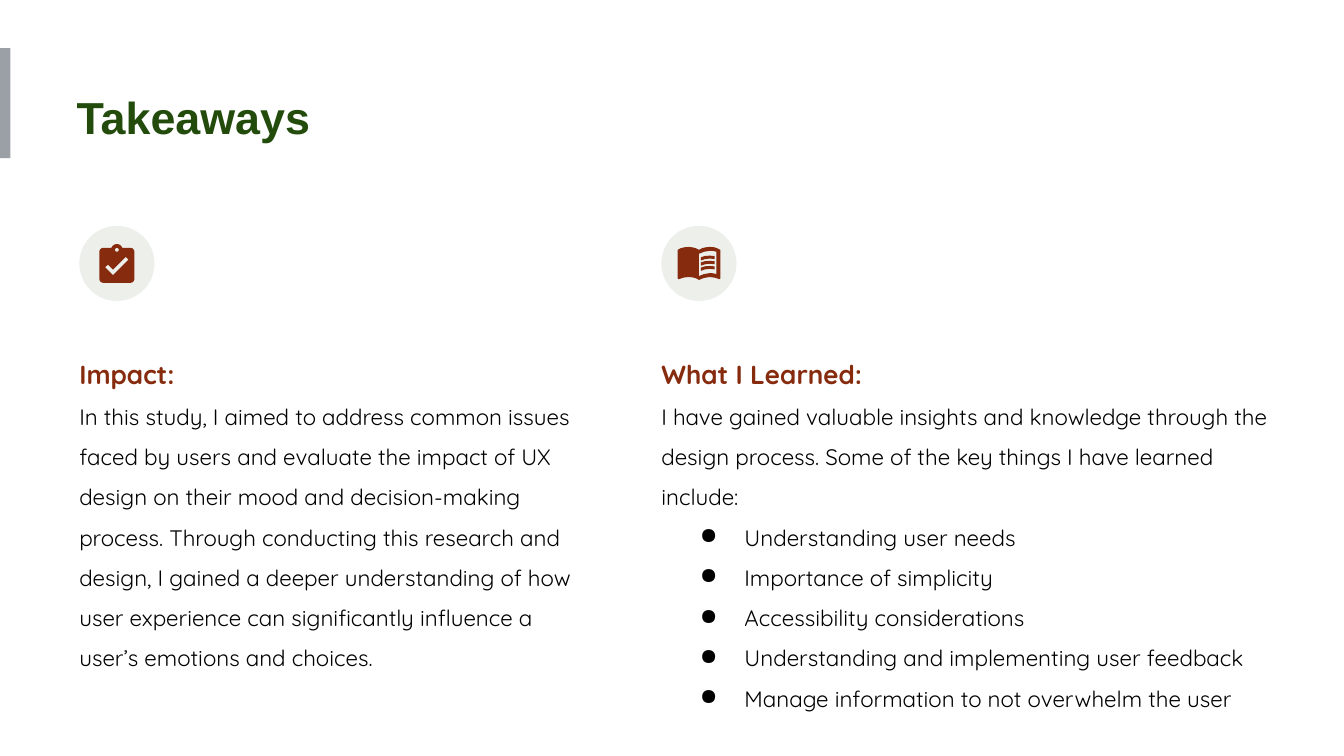
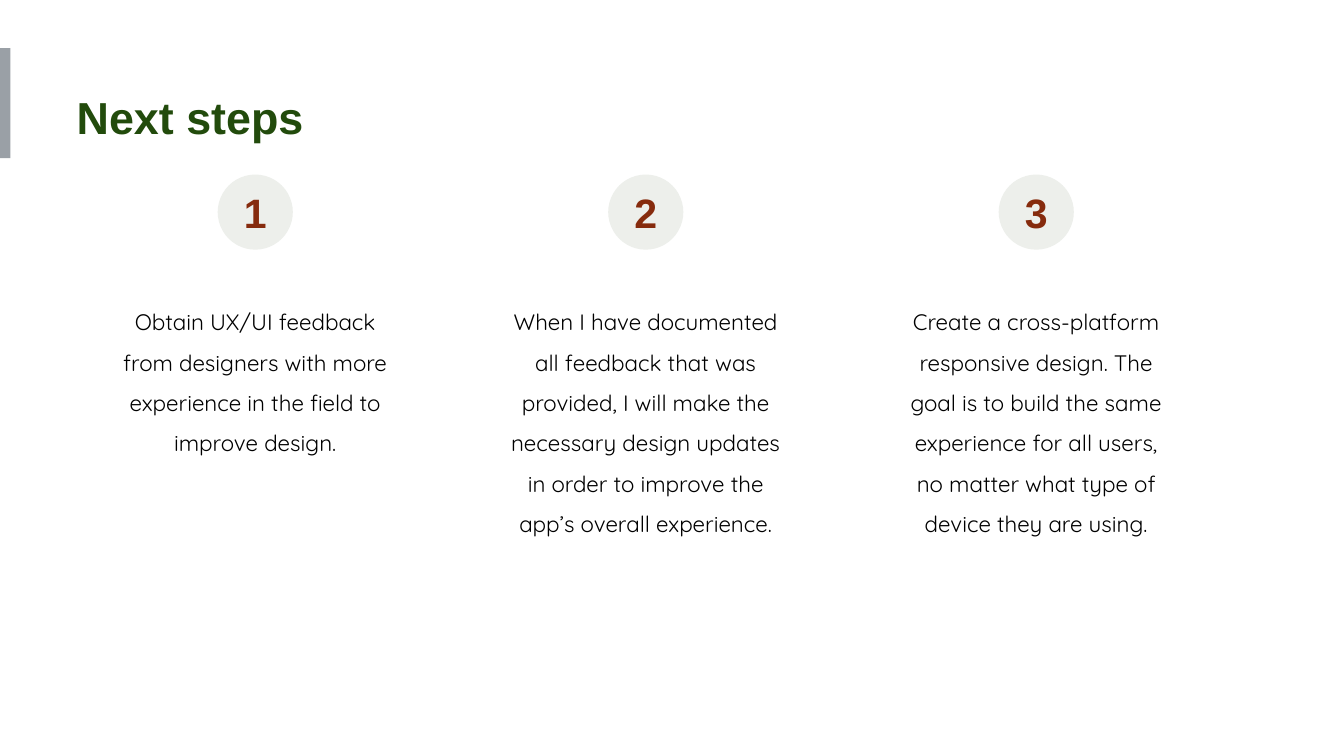
from math import cos, radians, sin

from lxml.etree import SubElement
from pptx import Presentation
from pptx.dml.color import RGBColor
from pptx.enum.shapes import MSO_SHAPE
from pptx.enum.text import MSO_ANCHOR, MSO_AUTO_SIZE, PP_ALIGN
from pptx.oxml.ns import qn
from pptx.util import Cm, Pt

GREEN = RGBColor(0x22, 0x4B, 0x0C)
RUST = RGBColor(0x86, 0x2B, 0x0D)
BLACK = RGBColor(0, 0, 0)
GREY = RGBColor(0x9A, 0xA0, 0xA6)
PALE = RGBColor(0xED, 0xEF, 0xEB)
HEAD, BODY = "Arial", "Quicksand"
DISC = 1.42  # disc diameter, cm
UNIT = Cm(0.11) / 3  # one step of the 24-step icon grid
FINE = 100  # freeform points per grid step


def arc(x, y, r, start, end, steps=8):
    """Points along a circle, from start to end degrees."""
    turns = [radians(start + (end - start) * i / steps) for i in range(steps + 1)]
    return [(x + r * cos(t), y + r * sin(t)) for t in turns]


# Icon outlines: each is a list of closed contours
CLIP = [
    arc(12, 4, 3, 199.5, 340.5) + arc(19, 5, 2, -90, 0) + arc(19, 19, 2, 0, 90)
    + arc(5, 19, 2, 90, 180) + arc(5, 5, 2, 180, 270),
    arc(12, 4, 1, 360, 0, 16),
    [(10, 17), (6, 13), (7.4, 11.6), (10, 14.2), (16.6, 7.6), (18, 9)],
]
BOOK = [
    [(1, 6), (2.5, 5.2), (4.3, 4.7), (6.5, 4.5), (8.7, 4.7), (10.5, 5.2),
     (12, 6), (13.5, 5.2), (15.3, 4.7), (17.5, 4.5), (19.4, 4.6), (21, 5),
     (23, 6), (23, 20.6), (22.8, 21), (22.5, 21.1), (20, 20.3), (17.5, 20),
     (14.5, 20.5), (12, 21.5), (10.5, 20.7), (8.7, 20.2), (6.5, 20),
     (4, 20.3), (1.5, 21.15), (1.15, 21), (1, 20.6)],
    [(21, 18.5), (19.3, 18.1), (17.5, 18), (14.6, 18.5), (12, 19.5), (12, 8),
     (14.6, 7), (17.5, 6.5), (19.3, 6.6), (21, 7)],
]
RULE = [(13, 9.83), (15, 9.2), (17.5, 9), (20, 9.24), (20, 10.76),
        (17.5, 10.5), (15, 10.8), (13, 11.5)]
RULES = [[[(x, y + 2.66 * i) for x, y in RULE]] for i in range(3)]


class Deck:
    def __init__(self):
        self.prs = Presentation()
        self.prs.slide_width, self.prs.slide_height = Cm(25.4), Cm(14.29)
        self.slide = None

    def page(self, title):
        """Start a slide with its side bar and title."""
        self.slide = self.prs.slides.add_slide(self.prs.slide_layouts[5])
        self.shape(MSO_SHAPE.RECTANGLE, 0, 0.91, 0.2, 2.08, GREY)
        box = self.slide.shapes.title
        box.left, box.top, box.width, box.height = map(Cm, (1.45, 1.45, 13.69, 1.55))
        self.frame(box.text_frame, 0)
        self.label(box.text_frame.paragraphs[0], title, 24, GREEN, HEAD, True)

    def plain(self, shape, fill):
        shape.shadow.inherit = False
        shape.fill.solid()
        shape.fill.fore_color.rgb = fill
        shape.line.fill.background()
        return shape

    def shape(self, kind, x, y, w, h, fill):
        new = self.slide.shapes.add_shape(kind, Cm(x), Cm(y), Cm(w), Cm(h))
        return self.plain(new, fill)

    def disc(self, x, y, text=None):
        shape = self.shape(MSO_SHAPE.OVAL, x, y, DISC, DISC, PALE)
        if text:
            frame = shape.text_frame
            frame.margin_left = frame.margin_right = 0
            frame.margin_top = frame.margin_bottom = 0
            frame.vertical_anchor = MSO_ANCHOR.MIDDLE
            self.label(frame.paragraphs[0], text, 22, RUST, HEAD, True, PP_ALIGN.CENTER)

    def icon(self, x, y, mid, loops):
        """Draw contours with grid point (12, mid) at the centre of a disc."""
        pen = None
        for loop in loops:
            first, *rest = [(a * FINE, b * FINE) for a, b in loop]
            if pen is None:
                pen = self.slide.shapes.build_freeform(*first, scale=UNIT / FINE)
            else:
                pen.move_to(*first)
            pen.add_line_segments(rest, close=True)
        left = Cm(x + DISC / 2) - 12 * UNIT
        top = Cm(y + DISC / 2) - mid * UNIT
        self.plain(pen.convert_to_shape(round(left), round(top)), RUST)

    def frame(self, frame, inset):
        frame.word_wrap = True
        frame.auto_size = MSO_AUTO_SIZE.SHAPE_TO_FIT_TEXT
        frame.vertical_anchor = MSO_ANCHOR.TOP
        frame.margin_left = Cm(inset)
        frame.margin_right = frame.margin_top = frame.margin_bottom = Cm(0.25)

    def box(self, x, y, w, h, inset=0):
        frame = self.slide.shapes.add_textbox(Cm(x), Cm(y), Cm(w), Cm(h)).text_frame
        self.frame(frame, inset)
        return frame

    def label(self, para, text, size, color, font, bold=False, align=PP_ALIGN.LEFT):
        para.text = text
        para.alignment = align
        for run in para.runs:
            run.font.name, run.font.size, run.font.bold = font, Pt(size), bold
            run.font.color.rgb = color

    def body(self, para, text, align=PP_ALIGN.LEFT):
        para.line_spacing = 1.5
        self.label(para, text, 12, BLACK, BODY, align=align)

    def bullet(self, para, text):
        props = para._p.get_or_add_pPr()
        props.set("marL", str(Cm(1.57)))
        props.set("indent", str(Cm(-0.84)))
        tint = SubElement(props, qn("a:buClr"))
        SubElement(tint, qn("a:srgbClr")).set("val", str(BLACK))
        SubElement(props, qn("a:buChar")).set("char", "●")
        self.body(para, text)

    def column(self, x, width, head, text, points=()):
        """Heading, text and bullets in one box."""
        frame = self.box(x, 6.22, width, 7.32)
        para = frame.paragraphs[0]
        para.line_spacing = 1.5
        self.label(para, head, 14, RUST, BODY, True)
        self.body(frame.add_paragraph(), text)
        for point in points:
            self.bullet(frame.add_paragraph(), point)


def main():
    deck = Deck()

    # Takeaways
    deck.page("Takeaways")
    left, right, top = 1.5, 12.5, 4.27
    deck.column(
        left, 9.58, "Impact:",
        "In this study, I aimed to address common issues faced by users and "
        "evaluate the impact of UX design on their mood and decision-making "
        "process. Through conducting this research and design, I gained a deeper "
        "understanding of how user experience can significantly influence a "
        "user’s emotions and choices.")
    deck.column(
        right, 12.09, "What I Learned:",
        "I have gained valuable insights and knowledge through the design "
        "process. Some of the key things I have learned include:",
        ["Understanding user needs",
         "Importance of simplicity",
         "Accessibility considerations",
         "Understanding and implementing user feedback",
         "Manage information to not overwhelm the user"])
    for x in (left, right):
        deck.disc(x, top)
    deck.icon(left, top, 11, CLIP)
    for loops in [BOOK, *RULES]:
        deck.icon(right, top, 13, loops)

    # Next steps
    deck.page("Next steps")
    steps = [
        ("Obtain UX/UI feedback from designers with more experience in the "
         "field to improve design.", 3.33),
        ("When I have documented all feedback that was provided, I will make "
         "the necessary design updates in order to improve the app’s overall "
         "experience.", 5.64),
        ("Create a cross-platform responsive design. The goal is to build the "
         "same experience for all users, no matter what type of device they "
         "are using.", 4.88),
    ]
    width, pitch = 5.69, 7.38
    for i, (text, height) in enumerate(steps):
        x = 1.98 + pitch * i
        frame = deck.box(x, 5.33, width, height, 0.25)
        deck.body(frame.paragraphs[0], text, PP_ALIGN.CENTER)
        deck.disc(x + (width - DISC) / 2, 3.3, str(i + 1))

    deck.prs.save("out.pptx")


if __name__ == "__main__":
    main()
